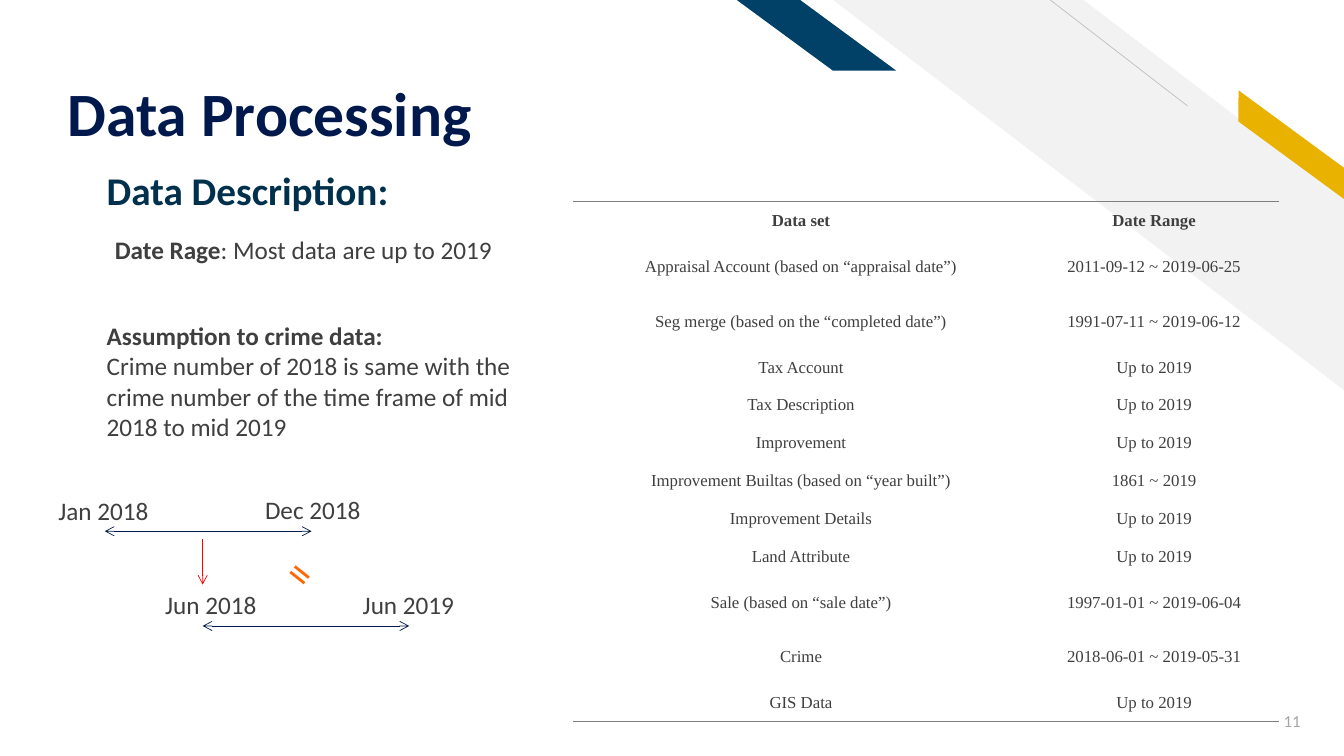
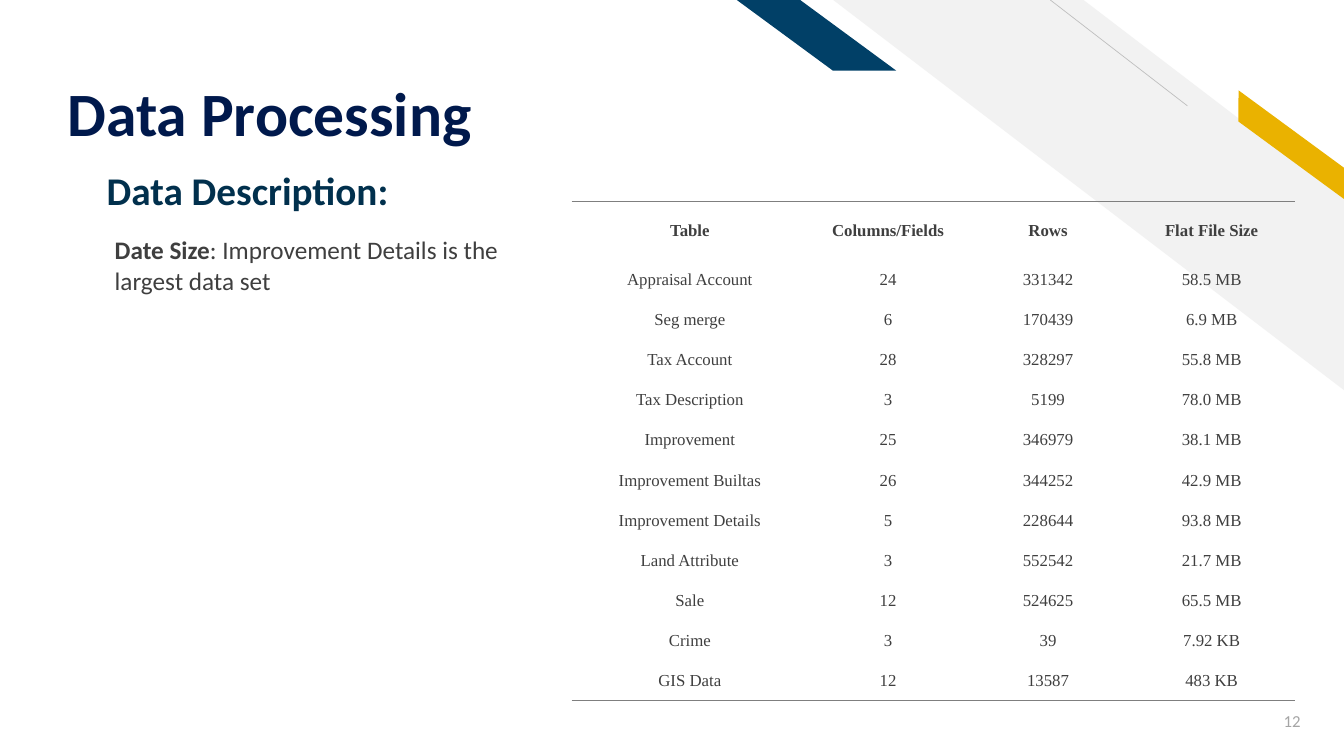
import pptx
import pptx.dml.color
import pptx.enum.shapes
import pptx.enum.text
import pptx.oxml.ns
import pptx.util
from lxml import etree

SLIDE_WIDTH = pptx.util.Inches(13.33)
SLIDE_HEIGHT = pptx.util.Inches(7.5)
NAVY, BLUE, TEAL, GOLD = "00194C", "014067", "01304D", "EAB200"
TEXT, RULE, PALE, HAIRLINE, FOOTER = "3F3F3F", "7F7F7F", "F2F2F2", "BFBFBF", "A5A5A5"
RED, ORANGE = "FF0000", "FF6600"
BODY_FONT, TABLE_FONT = "Calibri", "Times New Roman"
NO_STYLE = "{2D5ABB26-0587-4C30-8999-92F81FD0307C}"
LABEL_WIDTH, LABEL_HEIGHT = 9.5, 5.33
TABLE_TOP = 26.67
ALIGN = pptx.enum.text.PP_ALIGN
ANCHOR = pptx.enum.text.MSO_ANCHOR
SHAPES = pptx.enum.shapes.MSO_SHAPE

DATE_RANGES = [
    ("Data set", "Date Range"),
    ("Appraisal Account (based on “appraisal date”)", "2011-09-12 ~ 2019-06-25"),
    ("Seg merge (based on the “completed date”)", "1991-07-11 ~ 2019-06-12"),
    ("Tax Account", "Up to 2019"),
    ("Tax Description", "Up to 2019"),
    ("Improvement", "Up to 2019"),
    ("Improvement Builtas (based on “year built”)", "1861 ~ 2019"),
    ("Improvement Details", "Up to 2019"),
    ("Land Attribute", "Up to 2019"),
    ("Sale (based on “sale date”)", "1997-01-01 ~ 2019-06-04"),
    ("Crime", "2018-06-01 ~ 2019-05-31"),
    ("GIS Data", "Up to 2019"),
]
FILE_SIZES = [
    ("Table", "Columns/Fields", "Rows", "Flat File Size"),
    ("Appraisal Account", "24", "331342", "58.5 MB"),
    ("Seg merge", "6", "170439", "6.9 MB"),
    ("Tax Account", "28", "328297", "55.8 MB"),
    ("Tax Description", "3", "5199", "78.0 MB"),
    ("Improvement", "25", "346979", "38.1 MB"),
    ("Improvement Builtas", "26", "344252", "42.9 MB"),
    ("Improvement Details", "5", "228644", "93.8 MB"),
    ("Land Attribute", "3", "552542", "21.7 MB"),
    ("Sale", "12", "524625", "65.5 MB"),
    ("Crime", "3", "39", "7.92 KB"),
    ("GIS Data", "12", "13587", "483 KB"),
]


def across(percent):
    """Turn a percentage of the slide width into a length."""
    return round(SLIDE_WIDTH * percent / 100)


def down(percent):
    """Turn a percentage of the slide height into a length."""
    return round(SLIDE_HEIGHT * percent / 100)


def frame(left, top, width, height):
    """Turn percentages of the slide into a position and size."""
    return across(left), down(top), across(width), down(height)


def color(value):
    """Turn a hex string into a colour."""
    return pptx.dml.color.RGBColor.from_string(value)


def style_run(run, size, ink, bold=False, font=BODY_FONT):
    """Set the font of one run."""
    run.font.name = font
    run.font.size = pptx.util.Pt(size)
    run.font.bold = bold
    run.font.color.rgb = color(ink)


def add_text(slide, box, paragraphs, size=18, ink=TEXT, wrap=False, align=ALIGN.LEFT, anchor=ANCHOR.TOP):
    """Add a text box whose paragraphs are lists of (text, bold) pairs."""
    shape = slide.shapes.add_textbox(*frame(*box))
    text_frame = shape.text_frame
    text_frame.word_wrap = wrap
    text_frame.vertical_anchor = anchor
    for index, pieces in enumerate(paragraphs):
        paragraph = text_frame.add_paragraph() if index else text_frame.paragraphs[0]
        paragraph.alignment = align
        for text, bold in pieces:
            run = paragraph.add_run()
            run.text = text
            style_run(run, size, ink, bold)
    return shape


def add_band(slide, preset, box, fill, adjustment, rotation=0):
    """Add a mirrored, outline-free decorative band."""
    shape = slide.shapes.add_shape(preset, *frame(*box))
    shape.shadow.inherit = False
    shape.adjustments[0] = adjustment
    shape.rotation = rotation
    shape.fill.solid()
    shape.fill.fore_color.rgb = color(fill)
    shape.line.fill.background()
    shape._element.spPr.get_or_add_xfrm().set("flipH", "1")


def add_line(slide, start, end, ink, arrowheads=()):
    """Add a thin straight line with the named arrowheads."""
    line = slide.shapes.add_connector(
        pptx.enum.shapes.MSO_CONNECTOR.STRAIGHT,
        across(start[0]), down(start[1]), across(end[0]), down(end[1]))
    line.line.color.rgb = color(ink)
    line.line.width = pptx.util.Pt(0.5)
    for name in arrowheads:
        etree.SubElement(line.line._get_or_add_ln(), pptx.oxml.ns.qn(f"a:{name}"), type="arrow")
    etree.SubElement(line._element.spPr, pptx.oxml.ns.qn("a:effectLst"))


def rule_cell(cell, side):
    """Draw a rule on one side of a table cell."""
    border = etree.Element(pptx.oxml.ns.qn(f"a:{side}"), w=str(pptx.util.Pt(1)))
    fill = etree.SubElement(border, pptx.oxml.ns.qn("a:solidFill"))
    etree.SubElement(fill, pptx.oxml.ns.qn("a:srgbClr"), val=RULE)
    cell._tc.get_or_add_tcPr().insert(0, border)


def fill_cell(cell, text, bold):
    """Write centred text into a transparent table cell."""
    cell.fill.background()
    cell.vertical_anchor = ANCHOR.MIDDLE
    cell.margin_left = cell.margin_right = pptx.util.Inches(0.07)
    cell.margin_top = cell.margin_bottom = 0
    cell.text_frame.text = text
    paragraph = cell.text_frame.paragraphs[0]
    paragraph.alignment = ALIGN.CENTER
    paragraph.line_spacing = 1.07
    paragraph.space_after = pptx.util.Pt(8)
    style_run(paragraph.runs[0], 12, TEXT, bold, TABLE_FONT)


def add_ruled_table(slide, left, widths, heights, rows):
    """Add a table ruled above its first row and below its last."""
    box = frame(left, TABLE_TOP, sum(widths), sum(heights))
    table = slide.shapes.add_table(len(rows), len(widths), *box).table
    table.horz_banding = False
    table._tbl.tblPr.find(pptx.oxml.ns.qn("a:tableStyleId")).text = NO_STYLE
    for column, width in zip(table.columns, widths):
        column.width = across(width)
    for row, height, values in zip(table.rows, heights, rows):
        row.height = down(height)
        for cell, value in zip(row.cells, values):
            fill_cell(cell, value, values is rows[0])
    for cell in table.rows[0].cells:
        rule_cell(cell, "lnT")
    for cell in table.rows[len(rows) - 1].cells:
        rule_cell(cell, "lnB")


def add_period(slide, start, end, level, labels):
    """Add a double-headed time span with labels given as (left, top, text)."""
    add_line(slide, (start, level), (end, level), NAVY, ("headEnd", "tailEnd"))
    for left, top, text in labels:
        add_text(slide, (left, top, LABEL_WIDTH, LABEL_HEIGHT), [[(text, False)]])


def add_base_slide(presentation, number):
    """Add a slide with the shared bands, title, heading and number."""
    slide = presentation.slides.add_slide(presentation.slide_layouts[6])
    add_band(slide, SHAPES.DIAGONAL_STRIPE, (62, 0, 38, 51.6), PALE, 0.51)
    add_line(slide, (88.35, 14), (78.15, 0), HAIRLINE)
    add_band(slide, SHAPES.PARALLELOGRAM, (90.53, 17.47, 11.1, 3.33), GOLD, 0.72, 36.3)
    add_band(slide, SHAPES.PARALLELOGRAM, (54.83, 0, 11.85, 9.33), BLUE, 1.36)
    title = add_text(slide, (4.28, 3.07, 68.33, 16.8), [[("Data Processing", True)]],
                     44, NAVY, wrap=True, anchor=ANCHOR.BOTTOM)
    title.text_frame.margin_bottom = 0
    title.text_frame.paragraphs[0].line_spacing = 0.9
    add_text(slide, (91.43, 92.67, 6.08, LABEL_HEIGHT), [[(str(number), False)]],
             12, FOOTER, wrap=True, align=ALIGN.RIGHT, anchor=ANCHOR.MIDDLE)
    add_text(slide, (7.2, 21.33, 23.5, 7.6), [[("Data Description:", True)]], 28, TEAL)
    return slide


def add_date_range_slide(presentation):
    """Add the slide on date ranges and the crime data assumption."""
    slide = add_base_slide(presentation, 11)
    add_text(slide, (7.8, 30.4, 32, LABEL_HEIGHT),
             [[("Date Rage", True), (": Most data are up to 2019", False)]])
    tall, low = 7.17, 5.01
    heights = [tall if "-" in values[1] else low for values in DATE_RANGES]
    add_ruled_table(slide, 42.65, (33.9, 18.65), heights, DATE_RANGES)
    add_text(slide, (7.2, 41.73, 31.95, 17.47), [
        [("Assumption to crime data:", True)],
        [("Crime number of 2018 is same with the crime number of the time frame of mid 2018 to mid 2019", False)],
    ], wrap=True)
    add_period(slide, 7.8, 23.18, 70.27, [(3.6, 64.85, "Jan 2018"), (18.98, 64.7, "Dec 2018")])
    add_period(slide, 15.08, 30.45, 82.8, [(11.55, 77.33, "Jun 2018"), (26.25, 77.33, "Jun 2019")])
    add_line(slide, (15.08, 71.33), (15.08, 77.33), RED, ("tailEnd",))
    equals = add_text(slide, (20.18, 71.47, 4.65, 8.53), [[("=", False)]],
                      32, ORANGE, wrap=True, align=ALIGN.CENTER)
    equals.rotation = 38.5


def add_file_size_slide(presentation):
    """Add the slide on the size of each table."""
    slide = add_base_slide(presentation, 12)
    add_text(slide, (7.8, 30.4, 31.13, 9.47),
             [[("Date Size", True), (": Improvement Details is the largest data set", False)]], wrap=True)
    heights = [7.6] + [5.31] * (len(FILE_SIZES) - 1)
    add_ruled_table(slide, 42.53, (17.6, 11.9, 11.9, 12.45), heights, FILE_SIZES)


def main():
    """Build and save the presentation."""
    presentation = pptx.Presentation()
    presentation.slide_width = SLIDE_WIDTH
    presentation.slide_height = SLIDE_HEIGHT
    add_date_range_slide(presentation)
    add_file_size_slide(presentation)
    presentation.save("out.pptx")


if __name__ == "__main__":
    main()
